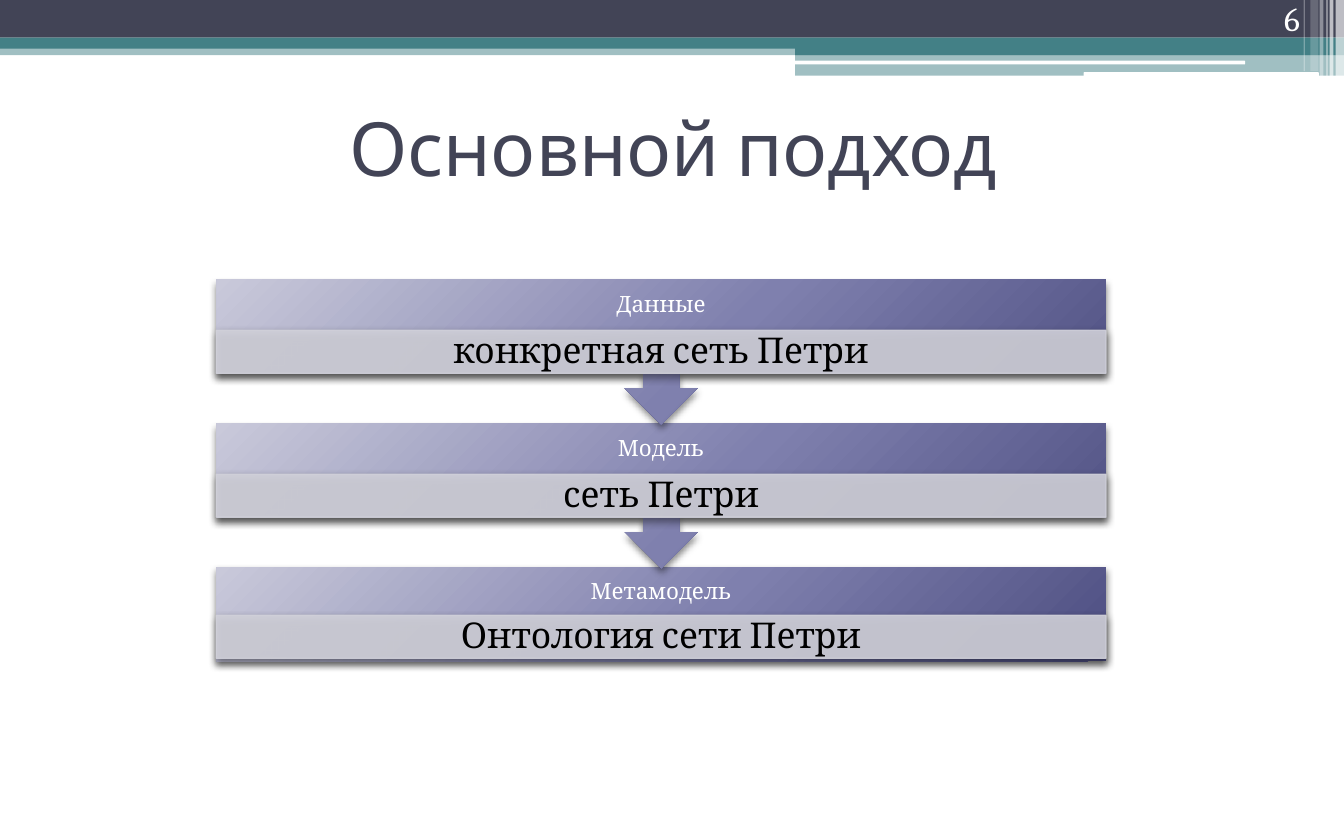
"""Build a slide of three linked levels under a banded header."""
from dataclasses import dataclass
from typing import NamedTuple

from lxml import etree
from pptx import Presentation
from pptx import util as u
from pptx.dml.color import RGBColor
from pptx.enum import shapes, text
from pptx.oxml.ns import nsdecls, qn

Pt = u.Pt
Kind = shapes.MSO_SHAPE


@dataclass(frozen=True)
class Theme:
    dark: str = "424456"
    teal: str = "438086"
    white: str = "FFFFFF"
    black: str = "000000"
    pale: str = "D1D1DA"
    stops: tuple = ((0, "C9C9DA"), (55, "7F80AE"), (100, "4D4E81"))
    sans: str = "Cabin"
    serif: str = "Cambria"
    title: int = 40
    body: int = 19
    page: int = 18
    small: int = 12


class Box(NamedTuple):
    left: float
    top: float
    width: float
    height: float


class Band(NamedTuple):
    box: Box
    color: str
    alpha: int = 100
    kind: int = Kind.RECTANGLE


class Level(NamedTuple):
    head: str
    note: str
    kind: int
    turn: int
    height: float
    gap: float


class Style(NamedTuple):
    font: str
    size: int
    color: str
    align: int = text.PP_ALIGN.CENTER
    anchor: int = text.MSO_ANCHOR.MIDDLE
    inset: tuple = (7.2, 3.6)
    space: float = 1.0


LOOK = Theme()
LEFT, WIDTH = 115.9, 476.6
TOP, STEP = 149.6, 77.1
HEAD, NOTE = 27.4, 23.0

BANDS = (
    Band(Box(0, 23.8, 720, 5.8), LOOK.teal, 50),
    Band(Box(0, 0, 720, 20.2), LOOK.dark),
    Band(Box(0, 20.2, 720, 5.8), LOOK.teal),
    Band(Box(426, 23.8, 294, 5.8), LOOK.teal),
    Band(Box(426, 29, 294, 11.6), LOOK.teal, 50),
    Band(Box(425.5, 32.5, 241.5, 2), LOOK.white, 100, Kind.ROUNDED_RECTANGLE),
    Band(Box(580.5, 38.7, 126, 2.2), LOOK.white, 100, Kind.ROUNDED_RECTANGLE),
    Band(Box(715.5, 0, 4.5, 41), LOOK.white, 65),
    Band(Box(712.3, 0, 2, 41), LOOK.white, 65),
    Band(Box(710.6, 0, 0.7, 41), LOOK.white, 60),
    Band(Box(707, 0, 2, 41), LOOK.white, 40),
    Band(Box(702, 0, 4.3, 38.2), LOOK.white, 20),
    Band(Box(698.4, 0, 0.7, 38.2), LOOK.white, 30),
)
LEVELS = (
    Level("Данные", "конкретная сеть Петри", Kind.UP_ARROW_CALLOUT, 180, 77.8, 27.4),
    Level("Модель", "сеть Петри", Kind.UP_ARROW_CALLOUT, 180, 77.8, 27.4),
    Level("Метамодель", "Онтология сети Петри", Kind.RECTANGLE, 0, 50.4, 25.9),
)


def put(item, values: dict) -> None:
    """Set each named value on an object."""
    for name, value in values.items():
        setattr(item, name, value)


def fade(shape, alpha: int) -> None:
    """Make the solid fill and line of a shape partly clear."""
    for color in shape.element.spPr.iter(qn("a:srgbClr")):
        etree.SubElement(color, qn("a:alpha"), val=str(alpha * 1000))


def shade(shape) -> None:
    """Give a shape a soft shadow below it."""
    glow = etree.fromstring(
        f'<a:outerShdw {nsdecls("a")} blurRad="{Pt(4)}" dist="{Pt(2)}" dir="5400000" rotWithShape="0">'
        f'<a:srgbClr val="{LOOK.black}"><a:alpha val="45000"/></a:srgbClr></a:outerShdw>')
    shape.element.spPr.find(qn("a:effectLst")).append(glow)


def blend(shape) -> None:
    """Fill a shape with the round theme gradient."""
    stops = "".join(f'<a:gs pos="{pos * 1000}"><a:srgbClr val="{color}"/></a:gs>'
                    for pos, color in LOOK.stops)
    fill = etree.fromstring(
        f'<a:gradFill {nsdecls("a")} rotWithShape="1"><a:gsLst>{stops}</a:gsLst><a:path path="circle">'
        '<a:fillToRect l="-40000" t="-90000" r="140000" b="190000"/></a:path></a:gradFill>')
    props = shape.element.spPr
    props.replace(props.find(qn("a:noFill")), fill)


def form(slide, kind: int, box: Box):
    """Add a bare preset shape."""
    shape = slide.shapes.add_shape(kind, *map(Pt, box))
    shape.shadow.inherit = False
    shape.fill.background()
    shape.line.fill.background()
    return shape


def stripe(slide, band: Band) -> None:
    """Draw one header band."""
    shape = form(slide, band.kind, band.box)
    shape.fill.solid()
    shape.fill.fore_color.rgb = RGBColor.from_string(band.color)
    if band.alpha < 100:
        fade(shape, band.alpha)


def write(shape, words: str, style: Style) -> None:
    """Write one styled line in a shape."""
    frame = shape.text_frame
    side, edge = map(Pt, style.inset)
    put(frame, {"word_wrap": True, "auto_size": text.MSO_AUTO_SIZE.NONE,
                "vertical_anchor": style.anchor, "margin_left": side,
                "margin_right": side, "margin_top": edge, "margin_bottom": edge})
    line = frame.paragraphs[0]
    put(line, {"alignment": style.align, "line_spacing": style.space})
    run = line.add_run()
    run.text = words
    put(run.font, {"name": style.font, "size": Pt(style.size)})
    run.font.color.rgb = RGBColor.from_string(style.color)


def label(slide, box: Box, words: str, style: Style) -> None:
    """Add a text box with one line."""
    write(slide.shapes.add_textbox(*map(Pt, box)), words, style)


def stage(slide, level: Level, top: float) -> None:
    """Draw one level with its heading and note."""
    body = form(slide, level.kind, Box(LEFT, top, WIDTH, level.height))
    body.rotation = level.turn
    blend(body)
    shade(body)
    label(slide, Box(LEFT, top, WIDTH, HEAD), level.head,
          Style(LOOK.serif, LOOK.small, LOOK.white, inset=(6.5, 6.5), space=0.9))
    place = Box(LEFT, top + level.gap, WIDTH, NOTE)
    plate = form(slide, Kind.RECTANGLE, place)
    for fill in (plate.fill, plate.line.fill):
        fill.solid()
        fill.fore_color.rgb = RGBColor.from_string(LOOK.pale)
    plate.line.width = Pt(0.75)
    fade(plate, 90)
    shade(plate)
    label(slide, place, level.note,
          Style(LOOK.serif, LOOK.body, LOOK.black, inset=(10.8, 2.2), space=0.9))


def main() -> None:
    """Build and save the slide."""
    deck = Presentation()
    put(deck, {"slide_width": Pt(720), "slide_height": Pt(450)})
    slide = deck.slides.add_slide(deck.slide_layouts[5])
    for band in BANDS:
        stripe(slide, band)
    title = slide.shapes.title
    put(title, {"left": Pt(36.7), "top": Pt(43.9), "width": Pt(648), "height": Pt(69.8)})
    write(title, "Основной подход", Style(LOOK.sans, LOOK.title, LOOK.dark))
    for row, level in reversed(list(enumerate(LEVELS))):
        stage(slide, level, TOP + row * STEP)
    label(slide, Box(643.7, 0, 59.8, 23.8), "6",
          Style(LOOK.serif, LOOK.page, LOOK.white,
                text.PP_ALIGN.RIGHT, text.MSO_ANCHOR.BOTTOM))
    deck.save("out.pptx")


if __name__ == "__main__":
    main()
